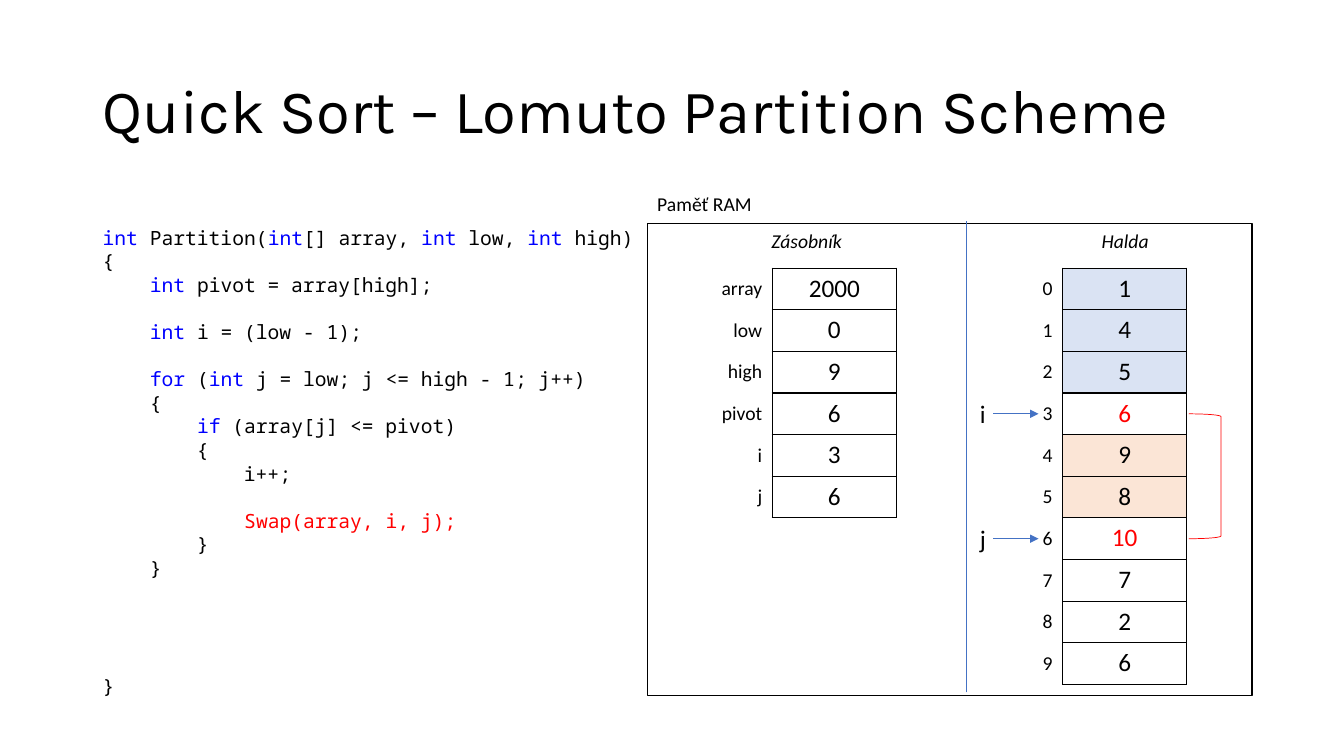
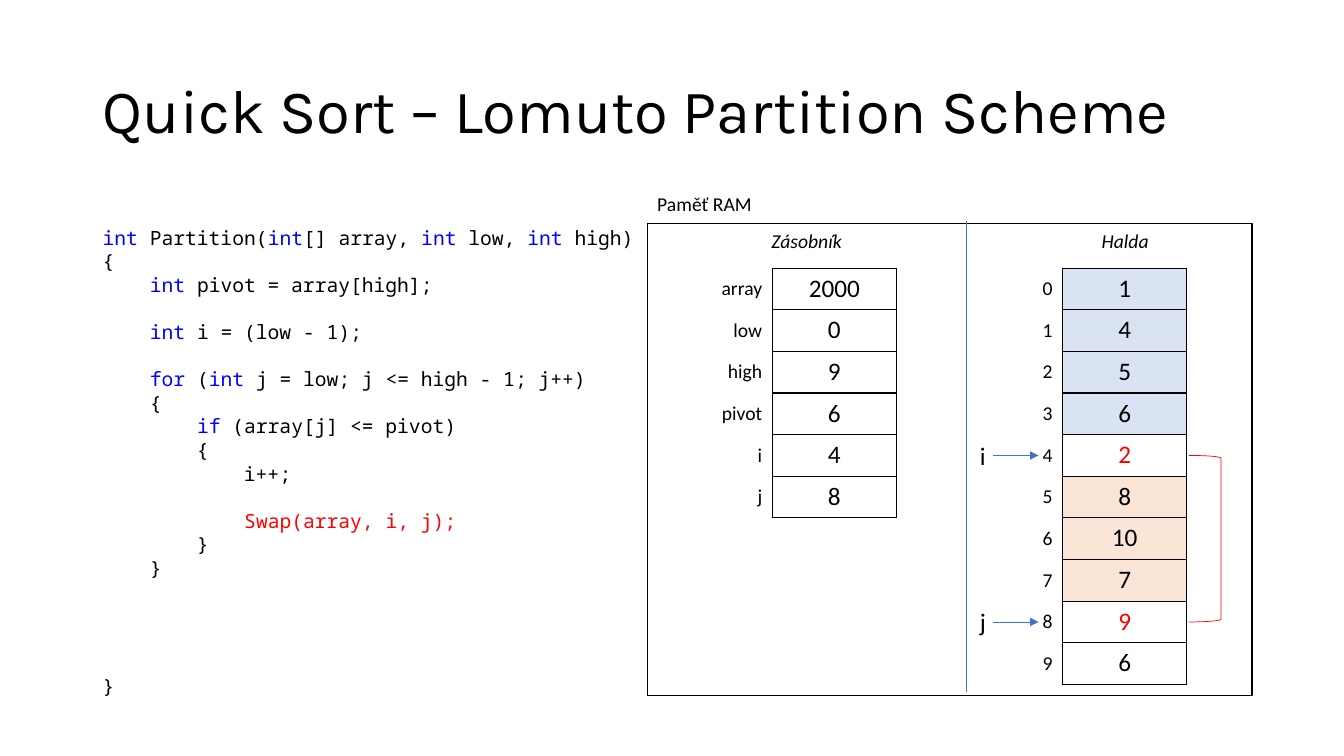
"""Build two slides that step through the Lomuto partition scheme."""
import lxml.etree
import pptx
import pptx.dml.color
import pptx.enum.shapes
import pptx.enum.text
import pptx.oxml.ns
import pptx.util

Inches = pptx.util.Inches
ALIGN = pptx.enum.text.PP_ALIGN
SHAPE = pptx.enum.shapes.MSO_SHAPE
MIDDLE = pptx.enum.text.MSO_ANCHOR.MIDDLE
TOP = pptx.enum.text.MSO_ANCHOR.TOP

COLOURS = {
    "text": "000000",
    "paper": "FFFFFF",
    "keyword": "0000FF",
    "swap": "FF0000",
    "pointer": "4472C4",
    "smaller": "DAE3F3",
    "larger": "FBE5D6",
}
TITLE_FONT, BODY_FONT, CODE_FONT = "Karla", "Calibri", "Noto Sans Mono"
KEYWORDS = ("int", "for", "if")
TITLE = "Quick Sort – Lomuto Partition Scheme"
CODE_PITCH = 16.85
LABEL_HEIGHT = 0.34
ROW_HEIGHT = 4.13 / 10
VALUE_WIDTH = 1.23
CODE = """|int| Partition(|int|[] array, |int| low, |int| high)
{
    |int| pivot = array[high];

    |int| i = (low - 1);

    |for| (|int| j = low; j <= high - 1; j++)
    {
        |if| (array[j] <= pivot)
        {
            i++;

            |Swap(array, i, j);|
        }
    }




}"""
STEPS = (
    {"heap": (1, 4, 5, 6, 9, 8, 10, 7, 2, 6), "i": 3, "j": 6},
    {"heap": (1, 4, 5, 6, 2, 8, 10, 7, 9, 6), "i": 4, "j": 8},
)


def rgb(name):
    """Return the named palette colour."""
    return pptx.dml.color.RGBColor.from_string(COLOURS[name])


def add_run(para, text, size, font=BODY_FONT, colour="text", italic=False):
    """Append one formatted run to a paragraph."""
    span = para.add_run()
    span.text = text
    span.font.size = pptx.util.Pt(size)
    span.font.name = font
    span.font.italic = italic
    span.font.color.rgb = rgb(colour)


def add_frame(shapes, box):
    """Add a wrapping text box and return its text frame."""
    frame = shapes.add_textbox(*map(Inches, box)).text_frame
    frame.word_wrap = True
    return frame


def add_label(shapes, box, text, size=14, align=ALIGN.LEFT, italic=False):
    """Add a single-line label."""
    para = add_frame(shapes, box).paragraphs[0]
    para.alignment = align
    add_run(para, text, size, italic=italic)


def add_line(shapes, start, end, arrow=False):
    """Add a thin straight line, with an arrowhead if wanted."""
    line = shapes.add_connector(
        pptx.enum.shapes.MSO_CONNECTOR.STRAIGHT, *map(Inches, start + end))
    line.line.color.rgb = rgb("pointer")
    line.line.width = pptx.util.Pt(0.5)
    properties = line._element.spPr
    lxml.etree.SubElement(properties, pptx.oxml.ns.qn("a:effectLst"))
    if arrow:
        outline = properties.find(pptx.oxml.ns.qn("a:ln"))
        lxml.etree.SubElement(
            outline, pptx.oxml.ns.qn("a:tailEnd"), type="triangle")


def add_outline(page, kind, box, colour, width):
    """Add an unfilled preset shape with a coloured outline."""
    shape = page.shapes.add_shape(kind, *map(Inches, box))
    shape.shadow.inherit = False
    shape.fill.background()
    shape.line.color.rgb = rgb(colour)
    shape.line.width = pptx.util.Pt(width)
    return shape


def add_title(page, box):
    """Place and format the title placeholder."""
    title = page.shapes.title
    title.left, title.top, title.width, title.height = map(Inches, box)
    frame = title.text_frame
    frame.word_wrap = True
    frame.auto_size = pptx.enum.text.MSO_AUTO_SIZE.NONE
    frame.vertical_anchor = MIDDLE
    para = frame.paragraphs[0]
    para.alignment = ALIGN.LEFT
    para.line_spacing = 0.9
    add_run(para, TITLE, 44, TITLE_FONT)


def add_code(page, box):
    """Place the highlighted listing, turning blank lines into spacing."""
    frame = add_frame(page.shapes, box)
    gap = 0
    for number, line in enumerate(CODE.splitlines()):
        if not line:
            gap += 1
            continue
        para = frame.add_paragraph() if number else frame.paragraphs[0]
        para.line_spacing = pptx.util.Pt(CODE_PITCH)
        if gap:
            para.space_before = pptx.util.Pt(CODE_PITCH * gap)
        gap = 0
        for text in filter(None, line.split("|")):
            colour = "keyword" if text in KEYWORDS else "text"
            if text.startswith("Swap"):
                colour = "swap"
            add_run(para, text, 14, CODE_FONT, colour)


def set_borders(cell, sides):
    """Draw black borders on the given sides of a cell."""
    properties = cell._tc.get_or_add_tcPr()
    for side in sides:
        border = lxml.etree.SubElement(
            properties, pptx.oxml.ns.qn("a:ln" + side), w="12700")
        fill = lxml.etree.SubElement(border, pptx.oxml.ns.qn("a:solidFill"))
        lxml.etree.SubElement(
            fill, pptx.oxml.ns.qn("a:srgbClr"), val=COLOURS["text"])


def fill_cell(cell, text, size, align, anchor, sides, colour="text", fill=None):
    """Write and format one table cell."""
    set_borders(cell, sides)
    cell.vertical_anchor = anchor
    if fill:
        cell.fill.solid()
        cell.fill.fore_color.rgb = rgb(fill)
    else:
        cell.fill.background()
    para = cell.text_frame.paragraphs[0]
    para.alignment = align
    add_run(para, str(text), size, colour=colour)


def add_memory_table(page, left, top, label_width, rows):
    """Add a column of memory cells with labels on their left."""
    table = page.shapes.add_table(
        len(rows), 2, Inches(left), Inches(top),
        Inches(label_width + VALUE_WIDTH), Inches(ROW_HEIGHT * len(rows))).table
    table.first_row = False
    table.horz_banding = False
    table.columns[0].width = Inches(label_width)
    table.columns[1].width = Inches(VALUE_WIDTH)
    for index, (label, value, colour, fill) in enumerate(rows):
        table.rows[index].height = Inches(ROW_HEIGHT)
        fill_cell(table.cell(index, 0), label, 14, ALIGN.RIGHT, MIDDLE, "R")
        fill_cell(table.cell(index, 1), value, 18, ALIGN.CENTER, TOP, "LRTB",
                  colour, fill)


def heap_row(index, value, step):
    """Return label, value, text colour and fill of one array element."""
    if index in (step["i"], step["j"]):
        return index, value, "swap", None
    if index < step["i"]:
        return index, value, "text", "smaller"
    return index, value, "text", "larger" if index < step["j"] else None


def add_pointer(page, left, middle, name):
    """Add a grouped index name and the arrow to its element."""
    group = page.shapes.add_group_shape()
    add_line(group.shapes, (left + 0.23, middle), (left + 0.68, middle), True)
    add_label(group.shapes, (left, middle - 0.2, 0.27, 0.4), name, 18)


def add_memory(page, box, step):
    """Draw the memory panel with the stack and the heap."""
    left, top, width, height = box
    panel = add_outline(page, SHAPE.RECTANGLE, box, "text", 1)
    panel.fill.solid()
    panel.fill.fore_color.rgb = rgb("paper")
    add_label(page.shapes, (left, top - 0.37, width, LABEL_HEIGHT), "Paměť RAM")
    divider = left + 3.16
    add_line(page.shapes, (divider, top + height - 0.03), (divider, top - 0.03))
    for offset, span_width, text in ((0, 3.16, "Zásobník"), (4.12, 1.24, "Halda")):
        add_label(page.shapes, (left + offset, top, span_width, LABEL_HEIGHT),
                  text, align=ALIGN.CENTER, italic=True)

    cells_top = top + 0.44
    heap = step["heap"]
    add_memory_table(page, left + 3.8, cells_top, 0.32,
                     [heap_row(index, value, step)
                      for index, value in enumerate(heap)])
    variables = {"array": 2000, "low": 0, "high": len(heap) - 1,
                 "pivot": heap[-1], "i": step["i"], "j": step["j"]}
    add_memory_table(page, left + 0.25, cells_top, 0.99,
                     [(name, value, "text", None)
                      for name, value in variables.items()])

    middles = {name: cells_top + ROW_HEIGHT * (step[name] + 0.5) for name in "ij"}
    for name, middle in middles.items():
        add_pointer(page, left + 3.2, middle, name)
    add_outline(page, SHAPE.RIGHT_BRACKET,
                (left + 5.37, middles["i"], 0.32, middles["j"] - middles["i"]),
                "swap", 0.5)


def add_step(deck, step):
    """Add one slide for one step of the partition."""
    page = deck.slides.add_slide(deck.slide_layouts[5])
    add_title(page, (0.92, 0.4, 11.5, 1.45))
    add_memory(page, (6.42, 2.22, 6, 4.68), step)
    add_code(page, (0.92, 2.19, 5.49, 4.81))


def main():
    """Build and save the deck."""
    deck = pptx.Presentation()
    deck.slide_width = Inches(13.33)
    deck.slide_height = Inches(7.5)
    for step in STEPS:
        add_step(deck, step)
    deck.save("out.pptx")


if __name__ == "__main__":
    main()
